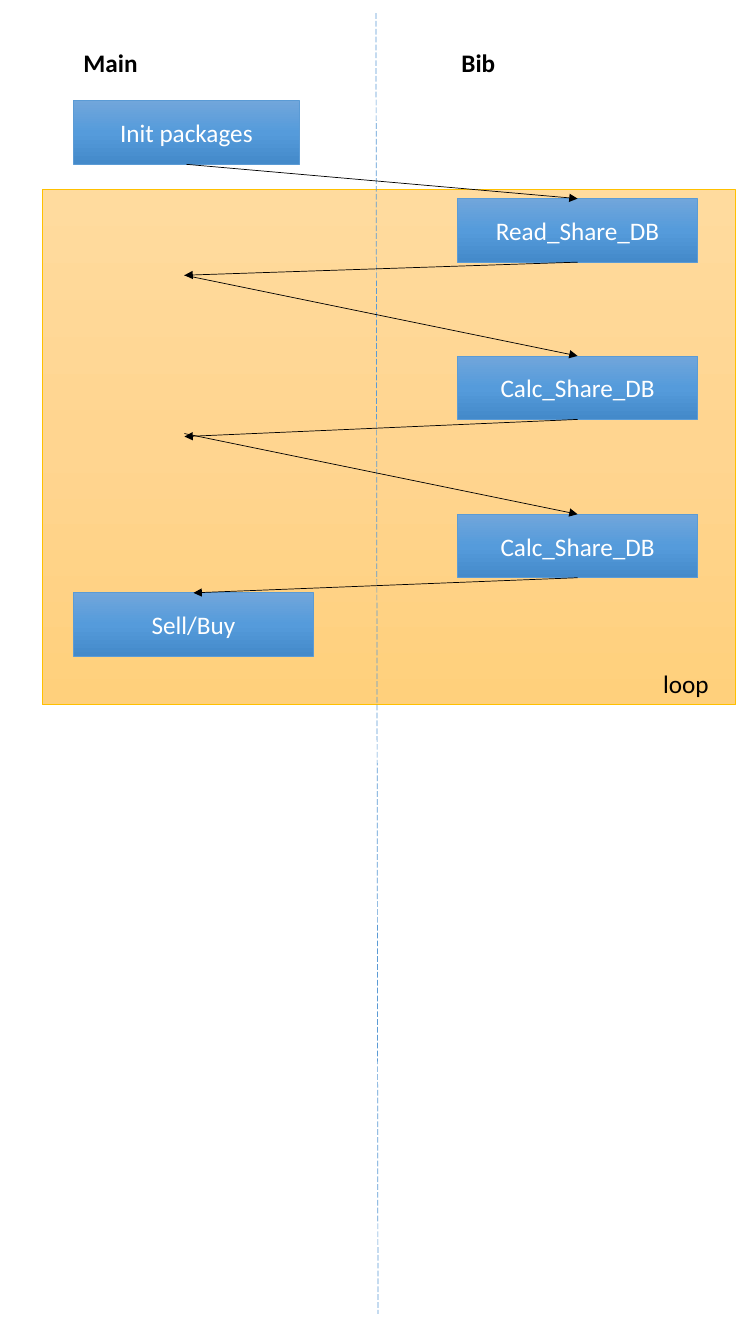
from copy import deepcopy
from pptx import Presentation
from pptx.dml.color import RGBColor
from pptx.enum import dml, shapes, text
from pptx.oxml.ns import qn
from pptx.util import Inches, Pt

# Content: name -> (label, left, top, width)
STEPS = {
    "init": ("Init packages", 0.73, 1.0, 2.24),
    "read": ("Read_Share_DB", 4.54, 1.97, 2.38),
    "calc": ("Calc_Share_DB", 4.54, 3.53, 2.38),
    "recalc": ("Calc_Share_DB", 4.54, 5.1, 2.38),
    "trade": ("Sell/Buy", 0.73, 5.88, 2.38),
}
STEP_HEIGHT = 0.63
LOOP_AREA = (0.42, 1.88, 6.88, 5.11)
DIVIDER = ((3.73, 0.13), (3.75, 13.03))
# (label, left, top, width, bold)
LABELS = [
    ("Main", 0.73, 0.42, 0.74, True),
    ("Bib", 4.48, 0.42, 0.54, True),
    ("loop", 6.48, 6.58, 0.66, False),
]
# Each end is a step name or a free point on the Main side
CALLS = [
    ("init", "read"),
    ("read", (1.83, 2.73)),
    ((1.83, 2.73), "calc"),
    ("calc", (1.83, 4.33)),
    ((1.83, 4.3), "recalc"),
    ("recalc", "trade"),
]
THEME = {
    "font": "Calibri", "size": 18, "line": 0.5,
    "step": ("71A6DB", "559BDB", "448ACA"), "step_line": "5B9BD5",
    "loop": ("FFDB9E", "FFD590", "FFD07C"), "loop_line": "FFC000",
    "light": "FFFFFF", "dark": "000000",
}
TOP_SITE, BOTTOM_SITE = 0, 2

deck = Presentation()
deck.slide_width, deck.slide_height = Inches(7.5), Inches(13.33)
page = deck.slides.add_slide(deck.slide_layouts[6])


def color(name):
    return RGBColor.from_string(THEME[name])


def write(frame, label, ink, bold=False):
    frame.text = label
    font = frame.paragraphs[0].runs[0].font
    font.name, font.size, font.bold = THEME["font"], Pt(THEME["size"]), bold
    font.color.rgb = color(ink)


def add_panel(area, style):
    panel = page.shapes.add_shape(shapes.MSO_SHAPE.RECTANGLE, *map(Inches, area))
    panel.shadow.inherit = False
    panel.line.color.rgb = color(style + "_line")
    panel.line.width = Pt(THEME["line"])
    panel.fill.gradient()
    panel.fill.gradient_angle = 270
    stops = panel.element.spPr.find(".//" + qn("a:gsLst"))
    stops.append(deepcopy(stops[0]))
    for stop, position, shade in zip(panel.fill.gradient_stops, (0, 0.5, 1), THEME[style]):
        stop.position = position
        stop.color.rgb = RGBColor.from_string(shade)
    return panel


def add_line(start, end, ink):
    line = page.shapes.add_connector(
        shapes.MSO_CONNECTOR.STRAIGHT, *map(Inches, (*start, *end)))
    line.line.color.rgb = color(ink)
    line.line.width = Pt(THEME["line"])
    properties = line.element.spPr
    properties.append(properties.makeelement(qn("a:effectLst"), {}))
    return line


def place(end, drop):
    """Point for a call's end: a free point, or the middle of a step's edge."""
    if end not in STEPS:
        return end
    _, left, top, width = STEPS[end]
    return left + width / 2, top + drop


# Loop area and divider between the two sides
add_panel(LOOP_AREA, "loop")
divider = add_line(*DIVIDER, "step_line")
divider.line.dash_style = dml.MSO_LINE.LONG_DASH

# Headings and loop label
for label, left, top, width, bold in LABELS:
    box = page.shapes.add_textbox(*map(Inches, (left, top, width, 0.4)))
    box.text_frame.word_wrap = False
    box.text_frame.auto_size = text.MSO_AUTO_SIZE.SHAPE_TO_FIT_TEXT
    write(box.text_frame, label, "dark", bold)

# Steps
boxes = {}
for name, (label, left, top, width) in STEPS.items():
    box = boxes[name] = add_panel((left, top, width, STEP_HEIGHT), "step")
    write(box.text_frame, label, "light")
    box.text_frame.vertical_anchor = text.MSO_ANCHOR.MIDDLE
    box.text_frame.paragraphs[0].alignment = text.PP_ALIGN.CENTER

# Calls and returns
for start, end in CALLS:
    arrow = add_line(place(start, STEP_HEIGHT), place(end, 0), "dark")
    if start in boxes:
        arrow.begin_connect(boxes[start], BOTTOM_SITE)
    if end in boxes:
        arrow.end_connect(boxes[end], TOP_SITE)
    outline = arrow.line._get_or_add_ln()
    outline.append(outline.makeelement(qn("a:tailEnd"), {"type": "triangle"}))

deck.save("out.pptx")
